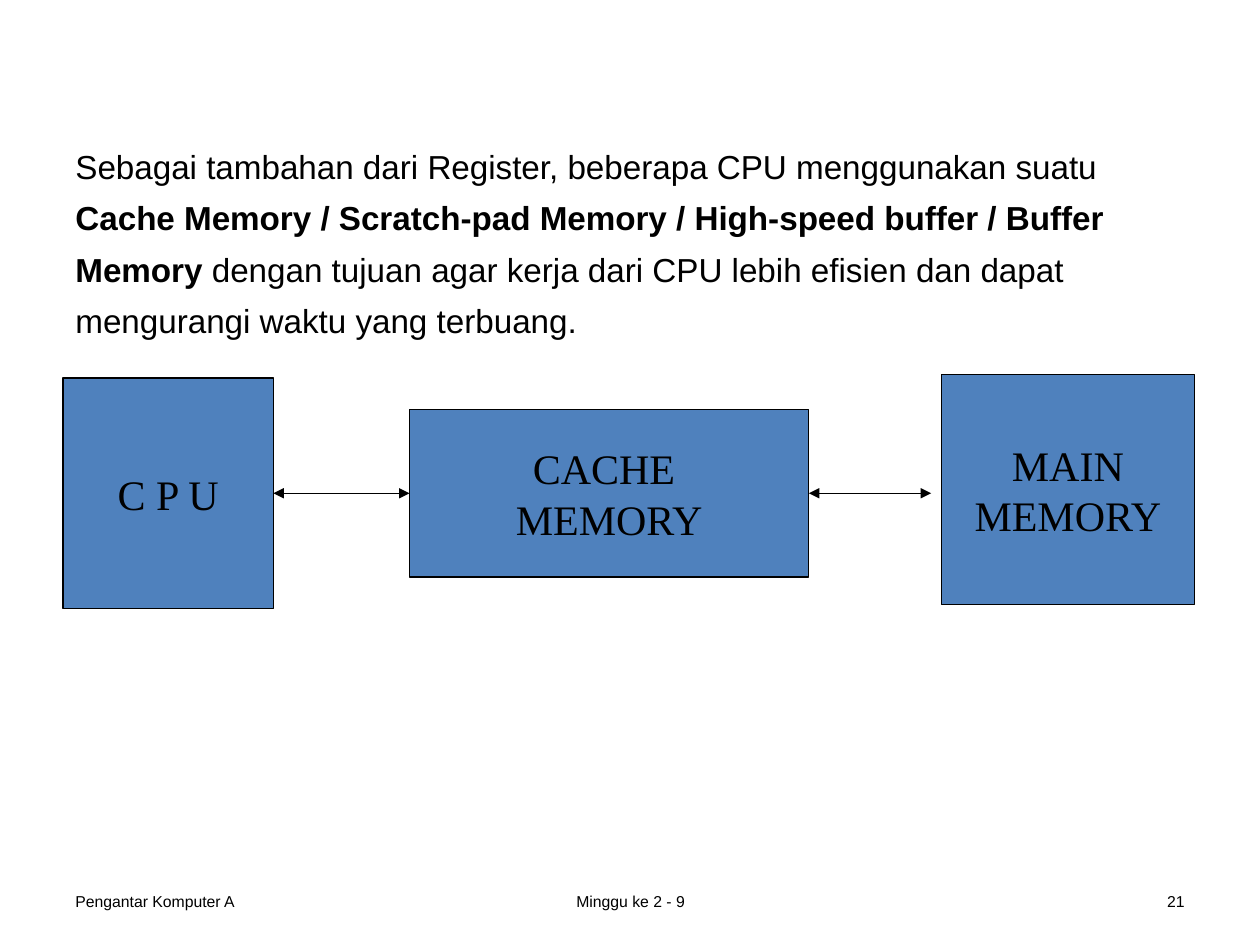
"""Build a slide on how cache memory sits between the CPU and main memory."""
from dataclasses import dataclass

from lxml import etree
from pptx import Presentation
from pptx.dml.color import RGBColor
from pptx.enum.shapes import MSO_CONNECTOR, MSO_SHAPE
from pptx.enum.text import MSO_ANCHOR, PP_ALIGN
from pptx.oxml.ns import qn
from pptx.shapes.autoshape import Shape
from pptx.shapes.connector import Connector
from pptx.slide import Slide
from pptx.text.text import Font
from pptx.util import Inches, Pt

LEFT, CENTER, RIGHT = PP_ALIGN.LEFT, PP_ALIGN.CENTER, PP_ALIGN.RIGHT
MIDDLE = MSO_ANCHOR.MIDDLE
RECTANGLE = MSO_SHAPE.RECTANGLE
STRAIGHT = MSO_CONNECTOR.STRAIGHT
LEFT_SIDE, RIGHT_SIDE = 1, 3


@dataclass(frozen=True)
class Theme:
    ink: RGBColor = RGBColor(0x00, 0x00, 0x00)
    unit_fill: RGBColor = RGBColor(0x4F, 0x81, 0xBD)
    text_font: str = "Arial"
    unit_font: str = "Times New Roman"
    footer_size: float = 9
    body_size: float = 19
    unit_size: float = 24
    body_gap: float = 6.6
    line_width: float = 0.75


@dataclass(frozen=True)
class Unit:
    lines: tuple[str, ...]
    left: float
    top: float
    width: float
    height: float


@dataclass(frozen=True)
class FooterItem:
    text: str
    left: float
    width: float
    align: PP_ALIGN


@dataclass(frozen=True)
class Span:
    text: str
    bold: bool = False


THEME = Theme()
CPU = Unit(("C P U",), 0.5, 3, 1.67, 1.83)
CACHE = Unit(("CACHE ", "MEMORY"), 3.25, 3.25, 3.17, 1.33)
MAIN_MEMORY = Unit(("MAIN", "MEMORY"), 7.47, 2.97, 2.01, 1.83)
MAIN_ARROW_END = 7.39
FOOTER = (
    FooterItem("Pengantar Komputer A", 0.5, 2.33, LEFT),
    FooterItem("Minggu ke 2 - 9", 3.42, 3.17, CENTER),
    FooterItem("21", 7.17, 2.33, RIGHT),
)
EXPLANATION = (
    (Span("Sebagai tambahan dari Register, beberapa CPU menggunakan suatu"),),
    (Span("Cache Memory / Scratch-pad Memory / High-speed buffer / Buffer", True),),
    (Span("Memory ", True), Span("dengan tujuan agar kerja dari CPU lebih efisien dan dapat")),
    (Span("mengurangi waktu yang terbuang."),),
)


def style_font(font: Font, name: str, size: float) -> None:
    font.name = name
    font.size = Pt(size)
    font.color.rgb = THEME.ink


def add_footer_item(slide: Slide, item: FooterItem) -> None:
    frame = slide.shapes.add_textbox(
        Inches(item.left), Inches(6.95), Inches(item.width), Inches(0.4)).text_frame
    frame.word_wrap = True
    frame.vertical_anchor = MIDDLE
    paragraph = frame.paragraphs[0]
    paragraph.text = item.text
    paragraph.alignment = item.align
    style_font(paragraph.font, THEME.text_font, THEME.footer_size)


def add_explanation(slide: Slide) -> None:
    frame = slide.shapes.add_textbox(
        Inches(0.5), Inches(1.08), Inches(9.25), Inches(1.67)).text_frame
    frame.word_wrap = True
    frame.margin_top = Inches(0.08)
    for index, spans in enumerate(EXPLANATION):
        paragraph = frame.add_paragraph() if index else frame.paragraphs[0]
        if index:
            paragraph.space_before = Pt(THEME.body_gap)
        style_font(paragraph.font, THEME.text_font, THEME.body_size)
        for span in spans:
            run = paragraph.add_run()
            run.text = span.text
            run.font.bold = span.bold


def add_unit(slide: Slide, unit: Unit) -> Shape:
    box = slide.shapes.add_shape(
        RECTANGLE, Inches(unit.left), Inches(unit.top), Inches(unit.width), Inches(unit.height))
    box.shadow.inherit = False
    box.fill.solid()
    box.fill.fore_color.rgb = THEME.unit_fill
    box.line.color.rgb = THEME.ink
    box.line.width = Pt(THEME.line_width)
    frame = box.text_frame
    frame.word_wrap = False
    frame.vertical_anchor = MIDDLE
    frame.text = "\n".join(unit.lines)
    for paragraph in frame.paragraphs:
        paragraph.alignment = CENTER
        style_font(paragraph.font, THEME.unit_font, THEME.unit_size)
    return box


def add_data_path(slide: Slide, source: Shape, end_x: int) -> Connector:
    middle = source.top + source.height // 2
    data_path = slide.shapes.add_connector(
        STRAIGHT, source.left + source.width, middle, end_x, middle)
    data_path.begin_connect(source, RIGHT_SIDE)
    data_path.line.color.rgb = THEME.ink
    data_path.line.width = Pt(THEME.line_width)
    outline = data_path.line._get_or_add_ln()
    for arrowhead in ("a:headEnd", "a:tailEnd"):
        etree.SubElement(outline, qn(arrowhead), type="triangle")
    etree.SubElement(data_path._element.spPr, qn("a:effectLst"))
    return data_path


def main() -> None:
    presentation = Presentation()
    presentation.slide_width = Inches(10)
    presentation.slide_height = Inches(7.5)
    slide = presentation.slides.add_slide(presentation.slide_layouts[6])
    for item in FOOTER:
        add_footer_item(slide, item)
    cpu, cache, _ = [add_unit(slide, unit) for unit in (CPU, CACHE, MAIN_MEMORY)]
    cpu_path = add_data_path(slide, cpu, cache.left)
    cpu_path.end_connect(cache, LEFT_SIDE)
    add_data_path(slide, cache, Inches(MAIN_ARROW_END))
    add_explanation(slide)
    presentation.save("out.pptx")


if __name__ == "__main__":
    main()
